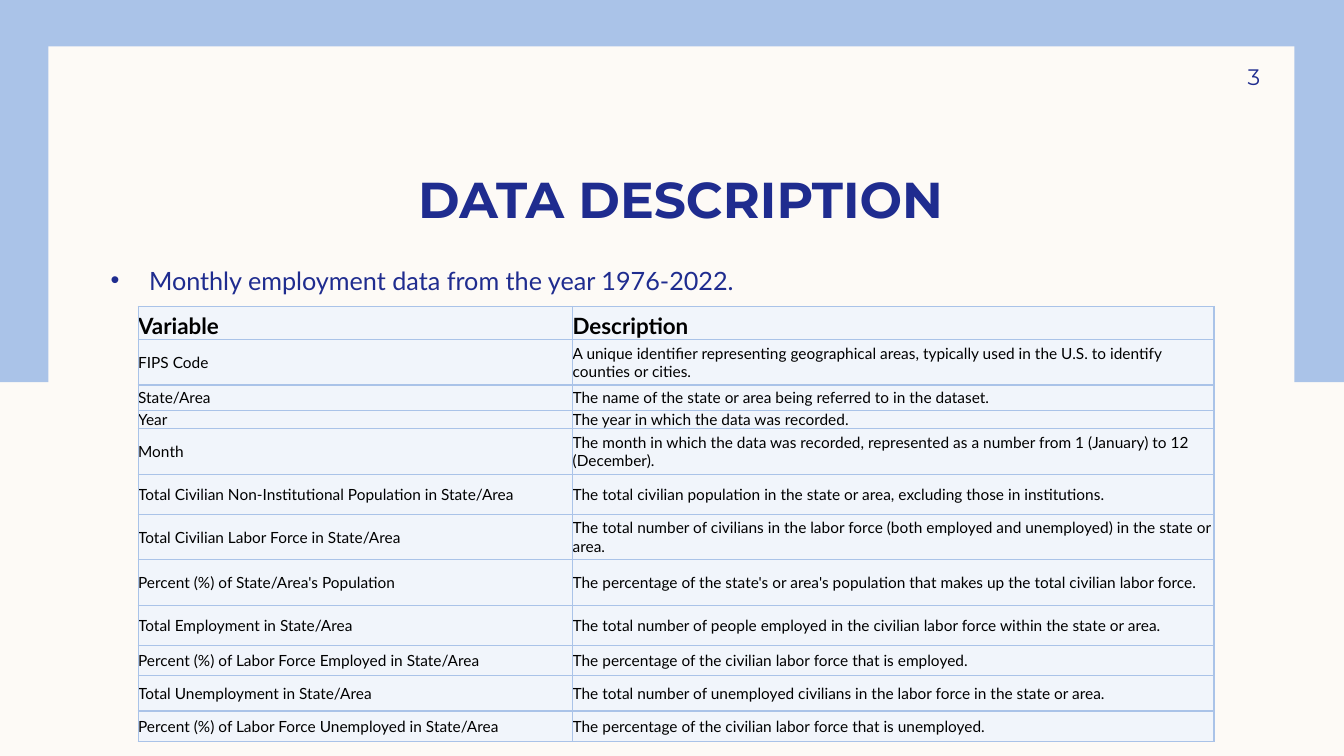
from pptx import Presentation, util as u
from pptx.dml.color import RGBColor
from pptx.enum import shapes, text
from pptx.oxml import ns
from lxml import etree

INK = {"blue": "AAC3E8", "cream": "FDFAF6", "navy": "1F2C8F",
       "pale": "F1F5FB", "black": "000000"}
COLS = [4.31, 6.36]
# Height, variable, description
ROWS = [
    (0.33, "Variable", "Description"),
    (0.45, "FIPS Code", "A unique identifier representing geographical areas, "
     "typically used in the U.S. to identify counties or cities."),
    (0.25, "State/Area", "The name of the state or area being referred to in the dataset."),
    (0.15, "Year", "The year in which the data was recorded."),
    (0.45, "Month", "The month in which the data was recorded, represented as "
     "a number from 1 (January) to 12 (December)."),
    (0.4, "Total Civilian Non-Institutional Population in State/Area",
     "The total civilian population in the state or area, excluding those in institutions."),
    (0.45, "Total Civilian Labor Force in State/Area", "The total number of civilians in "
     "the labor force (both employed and unemployed) in the state or area."),
    (0.45, "Percent (%) of State/Area's Population", "The percentage of the state's or "
     "area's population that makes up the total civilian labor force."),
    (0.4, "Total Employment in State/Area", "The total number of people employed in "
     "the civilian labor force within the state or area."),
    (0.3, "Percent (%) of Labor Force Employed in State/Area",
     "The percentage of the civilian labor force that is employed."),
    (0.35, "Total Unemployment in State/Area",
     "The total number of unemployed civilians in the labor force in the state or area."),
    (0.3, "Percent (%) of Labor Force Unemployed in State/Area",
     "The percentage of the civilian labor force that is unemployed."),
]


def tint(fill, ink):
    fill.solid()
    fill.fore_color.rgb = RGBColor.from_string(INK[ink])


def write(frame, words, size, font="Lato", ink="navy", bold=False, align="LEFT"):
    frame.word_wrap = True
    para = frame.paragraphs[0]
    para.alignment = getattr(text.PP_ALIGN, align)
    run = para.add_run()
    run.text = words
    run.font.size, run.font.name, run.font.bold = u.Pt(size), font, bold
    run.font.color.rgb = RGBColor.from_string(INK[ink])
    return para


def inset(item, left, top, right, base):
    item.margin_left, item.margin_top = u.Inches(left), u.Inches(top)
    item.margin_right, item.margin_bottom = u.Inches(right), u.Inches(base)


def place(box):
    return [u.Inches(n) for n in box]


def panel(slide, box, ink):
    shape = slide.shapes.add_shape(shapes.MSO_SHAPE.RECTANGLE, *place(box))
    shape.shadow.inherit = False
    tint(shape.fill, ink)
    shape.line.fill.background()


def head(slide, box):
    title = slide.shapes.title
    title.left, title.top, title.width, title.height = place(box)
    slide.shapes._spTree.append(title._element)  # bring in front of the panels
    frame = title.text_frame
    frame.auto_size = text.MSO_AUTO_SIZE.NONE
    frame.vertical_anchor = text.MSO_ANCHOR.BOTTOM
    inset(frame, 0.1, 0, 0.1, 0)
    write(frame, "DATA DESCRIPTION", 36, font="Montserrat", bold=True, align="CENTER")


def number(slide, box):
    frame = slide.shapes.add_textbox(*place(box)).text_frame
    frame.vertical_anchor = text.MSO_ANCHOR.MIDDLE
    inset(frame, 0.1, 0.05, 0, 0.05)
    write(frame, "3", 16, font="Montserrat", align="RIGHT")


def body(slide, box):
    frame = slide.shapes.add_textbox(*place(box)).text_frame
    inset(frame, 0.1, 0.1, 0.1, 0.1)
    para = write(frame, "Monthly employment data from the year 1976-2022.", 18)
    para.space_before = u.Pt(10)
    props = para._p.get_or_add_pPr()
    props.set("marL", str(u.Inches(0.38)))
    props.set("indent", str(-u.Inches(0.38)))
    etree.SubElement(props, ns.qn("a:buFont")).set("typeface", "Arial")
    etree.SubElement(props, ns.qn("a:buChar")).set("char", "•")


def border(cell, ink):
    props = cell._tc.get_or_add_tcPr()
    for side in ("lnL", "lnR", "lnT", "lnB"):
        line = etree.SubElement(props, ns.qn("a:" + side), w=str(u.Pt(1)))
        fill = etree.SubElement(line, ns.qn("a:solidFill"))
        etree.SubElement(fill, ns.qn("a:srgbClr"), val=INK[ink])


def grid(slide, left, top):
    box = (left, top, sum(COLS), sum(row[0] for row in ROWS))
    table = slide.shapes.add_table(len(ROWS), len(COLS), *place(box)).table
    table.first_row = table.horz_banding = False
    for col, width in zip(table.columns, COLS):
        col.width = u.Inches(width)
    for r, (height, *words) in enumerate(ROWS):
        table.rows[r].height = u.Inches(height)
        top_row = r == 0
        for c, word in enumerate(words):
            cell = table.cell(r, c)
            inset(cell, 0, 0, 0, 0)
            cell.vertical_anchor = text.MSO_ANCHOR.BOTTOM if top_row else text.MSO_ANCHOR.MIDDLE
            border(cell, "blue")
            tint(cell.fill, "pale")
            write(cell.text_frame, word, 16 if top_row else 11, ink="black", bold=top_row)


def main():
    deck = Presentation()
    deck.slide_width, deck.slide_height = u.Inches(13.33), u.Inches(7.5)
    slide = deck.slides.add_slide(deck.slide_layouts[5])
    # Backdrop
    tint(slide.background.fill, "cream")
    panel(slide, (-0.03, 0, 13.36, 3.79), "blue")
    panel(slide, (0.48, 0.46, 12.36, 6.59), "cream")
    # Content
    head(slide, (1, 1.16, 11.5, 1.11))
    number(slide, (11.33, 0.5, 1.17, 0.52))
    body(slide, (1, 2.53, 11.5, 4.32))
    grid(slide, 1.37, 3.04)
    deck.save("out.pptx")


if __name__ == "__main__":
    main()
